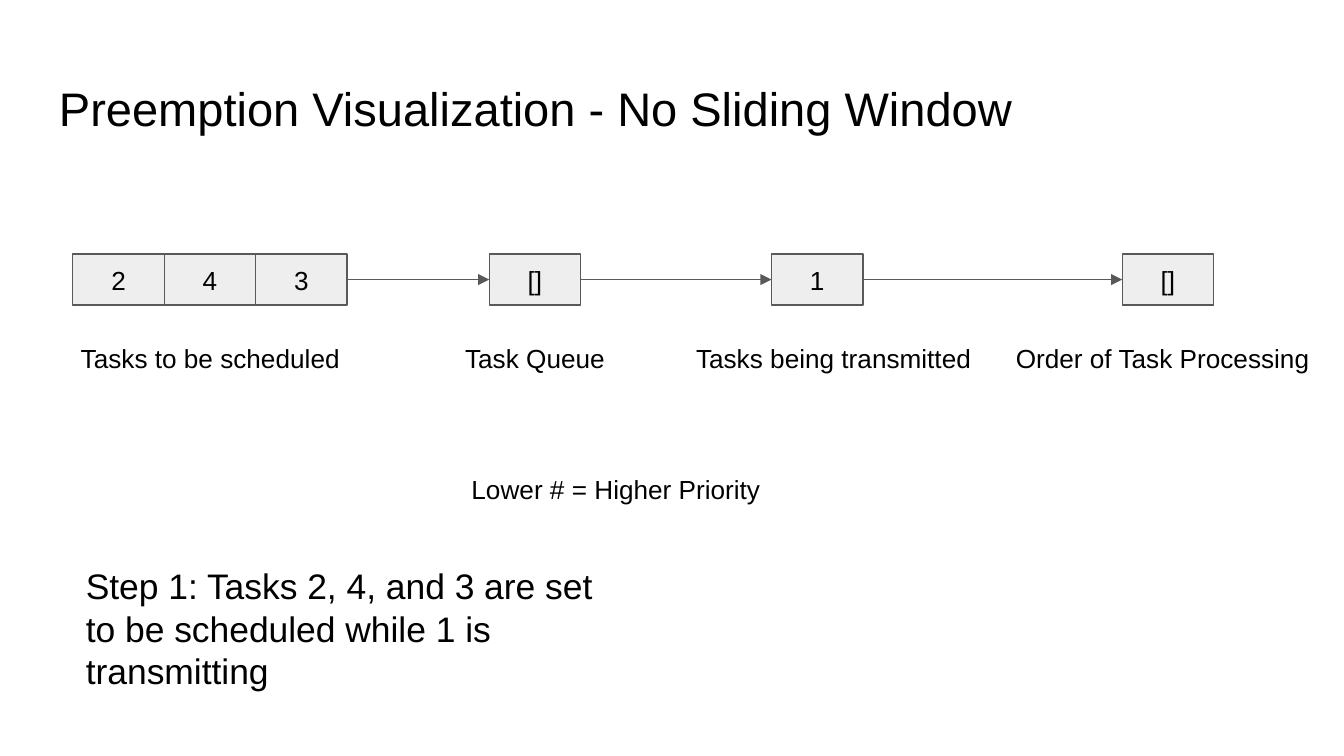
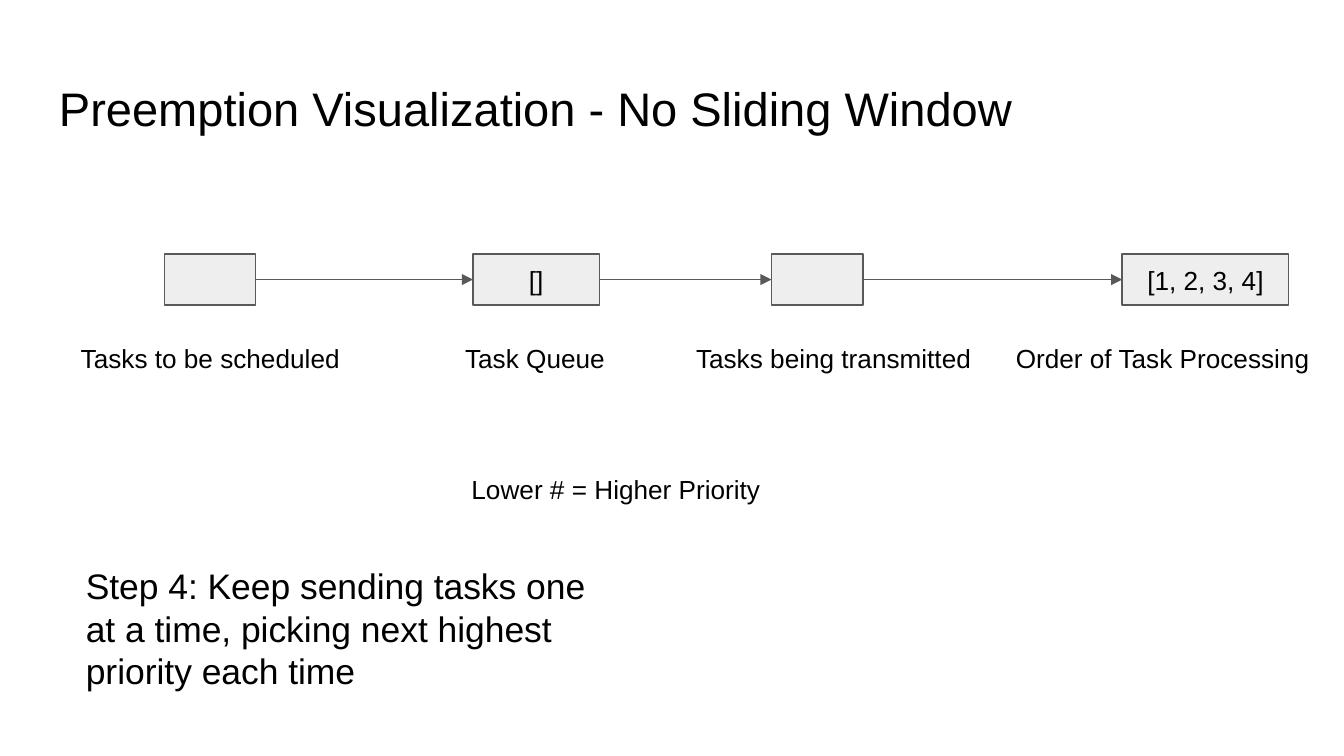
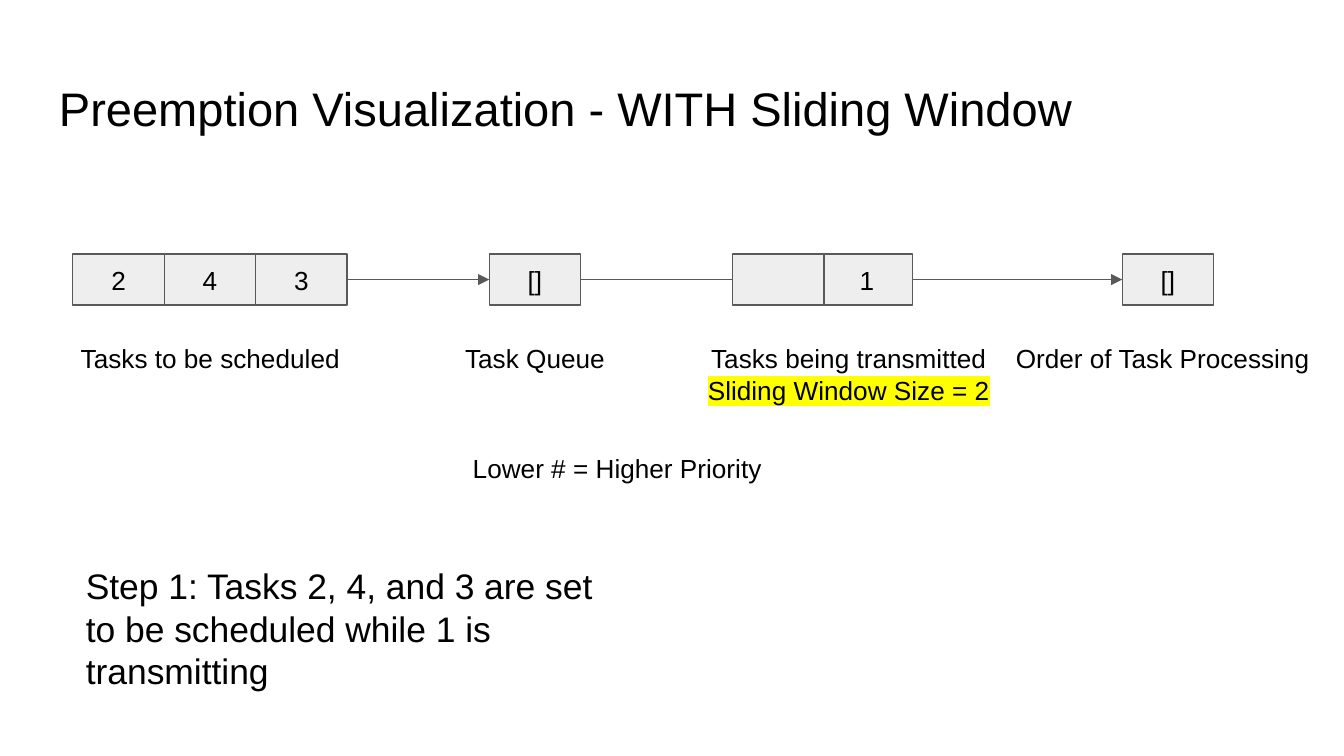
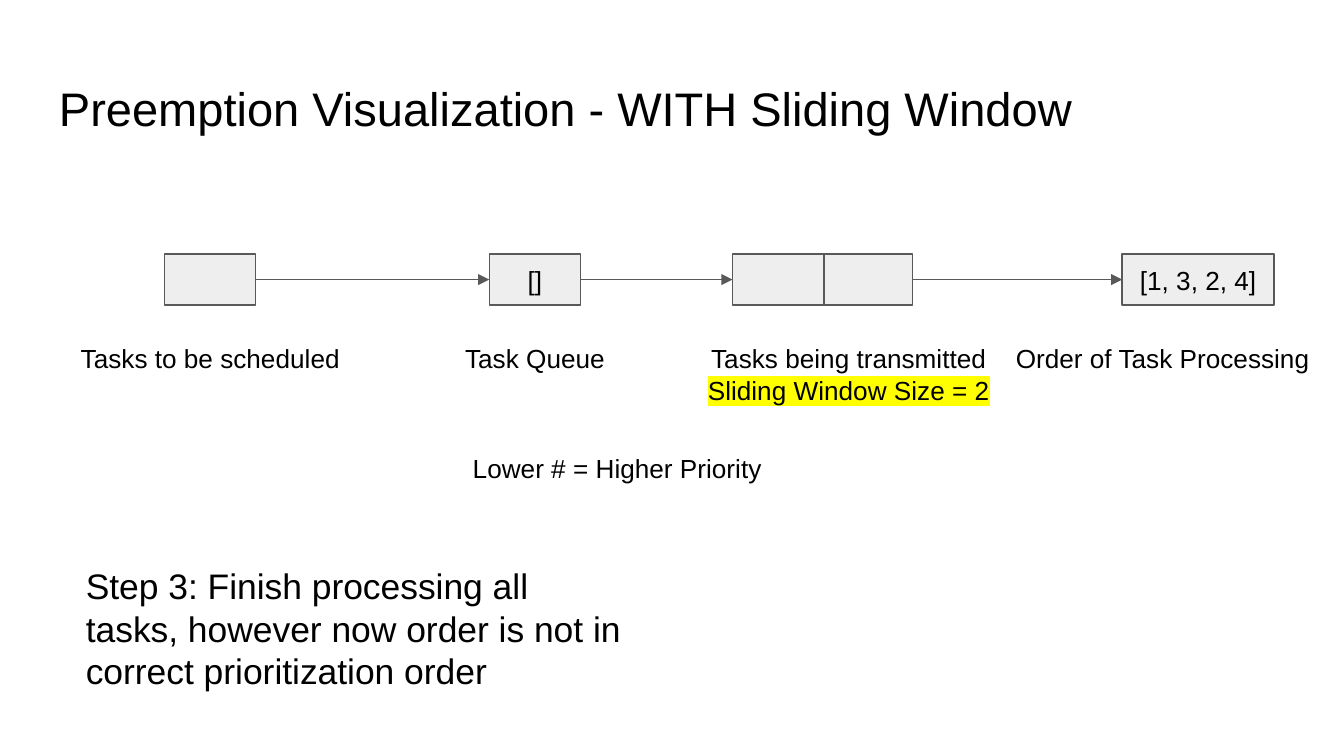
from itertools import pairwise

from lxml.etree import SubElement
from pptx import Presentation
from pptx.dml.color import RGBColor
from pptx.enum.shapes import MSO_CONNECTOR as CONN, MSO_SHAPE as SHAPE
from pptx.enum.text import MSO_ANCHOR as ANCHOR, MSO_AUTO_SIZE as AUTO, PP_ALIGN as ALIGN
from pptx.oxml.ns import qn
from pptx.util import Pt

FONT, INK, EDGE, FILL, MARK = "Arial", "000000", "595959", "EEEEEE", "FFFF00"
INSET = 7.2
CELL_W, CELL_H = 49, 27.4
FLOW_TOP, LABEL_TOP, LABEL_H = 136.1, 176.4, 31.7
QUEUE, SENDING, DONE = 262.1, 413.3, 601.2
WINDOW, WINDOW_PITCH = 392.4, 47.5

PLAIN = "Preemption Visualization - No Sliding Window"
WINDOWED = "Preemption Visualization - WITH Sliding Window"
STEP_1 = "Step 1: Tasks 2, 4, and 3 are set to be scheduled while 1 is transmitting"
STEP_3 = ("Step 3: Finish processing all tasks, however now order is not in "
          "correct prioritization order")
STEP_4 = ("Step 4: Keep sending tasks one at a time, "
          "picking next highest priority each time")

WAITING = (39, CELL_W, CELL_W, ["2", "4", "3"])
NONE_WAITING = (88, CELL_W, CELL_W, [""])
EMPTY_QUEUE = (QUEUE, CELL_W, CELL_W, ["[]"])
NONE_DONE = (DONE, CELL_W, CELL_W, ["[]"])

SLIDES = [
    dict(title=PLAIN, step=STEP_1, windowed=False, heads=(True, True, True),
         stages=[WAITING, EMPTY_QUEUE, (SENDING, CELL_W, CELL_W, ["1"]), NONE_DONE]),
    dict(title=PLAIN, step=STEP_4, windowed=False, heads=(True, True, True),
         stages=[NONE_WAITING, (253.4, 67.7, 67.7, ["[]"]),
                 (SENDING, CELL_W, CELL_W, [""]), (DONE, 89.3, 89.3, ["[1, 2, 3, 4]"])]),
    dict(title=WINDOWED, step=STEP_1, windowed=True, heads=(True, False, True),
         stages=[WAITING, EMPTY_QUEUE,
                 (WINDOW, CELL_W, WINDOW_PITCH, ["", "1"]), NONE_DONE]),
    dict(title=WINDOWED, step=STEP_3, windowed=True, heads=(True, True, True),
         stages=[NONE_WAITING, EMPTY_QUEUE, (WINDOW, CELL_W, WINDOW_PITCH, ["", ""]),
                 (DONE, 81.4, 81.4, ["[1, 3, 2, 4]"])]),
]


def rgb(value):
    """Turn a hex string into a colour."""
    return RGBColor.from_string(value)


def put(obj, formats):
    """Set each attribute of an object from a dict."""
    for name, value in formats.items():
        setattr(obj, name, value)


def write(sp, lines, size=14, align=ALIGN.LEFT, marked=(), **frame):
    """Write lines of text into a shape, highlighting the marked ones."""
    tf = sp.text_frame
    margins = {f"margin_{side}": Pt(INSET) for side in ("left", "top", "right", "bottom")}
    put(tf, {"word_wrap": True, **margins, **frame})
    for i, line in enumerate(lines):
        p = tf.add_paragraph() if i else tf.paragraphs[0]
        p.alignment = align
        r = p.add_run()
        r.text = line
        put(r.font, {"size": Pt(size), "name": FONT})
        r.font.color.rgb = rgb(INK)
        if line in marked:
            rpr = r.font._element
            mark = SubElement(rpr, qn("a:highlight"))
            SubElement(mark, qn("a:srgbClr")).set("val", MARK)
            rpr.find(qn("a:solidFill")).addnext(mark)


def textbox(s, box, lines, **formats):
    """Add a text box at left, top, width, height."""
    write(s.shapes.add_textbox(*map(Pt, box)), lines, **formats)


def stage(s, left, width, pitch, values):
    """Draw a row of cells from right to left and return its first and last cell."""
    cells = []
    for i, value in reversed(list(enumerate(values))):
        sp = s.shapes.add_shape(SHAPE.RECTANGLE, Pt(left + i * pitch), Pt(FLOW_TOP),
                                Pt(width), Pt(CELL_H))
        sp.shadow.inherit = False
        sp.fill.solid()
        sp.fill.fore_color.rgb = rgb(FILL)
        sp.line.color.rgb = rgb(EDGE)
        sp.line.width = Pt(0.75)
        write(sp, [value] if value else [], align=ALIGN.CENTER,
              vertical_anchor=ANCHOR.MIDDLE)
        cells.append(sp)
    return cells[-1], cells[0]


def arrow(s, start, end, head):
    """Join the right side of one cell to the left side of another."""
    cx = s.shapes.add_connector(CONN.STRAIGHT, 0, 0, 0, 0)
    cx.begin_connect(start, 3)
    cx.end_connect(end, 1)
    cx.line.color.rgb = rgb(EDGE)
    cx.line.width = Pt(0.75)
    if head:
        SubElement(cx.line._get_or_add_ln(), qn("a:tailEnd")).set("type", "triangle")
    SubElement(cx._element.spPr, qn("a:effectLst"))


def flow(s, stages, heads):
    """Draw the stages and the arrows between them."""
    ends = [stage(s, *args) for args in stages]
    for ((_, start), (end, _)), head in zip(pairwise(ends), heads):
        arrow(s, start, end, head)


def labels(s, windowed):
    """Write the caption under each stage and the priority note."""
    size_note = "Sliding Window Size = 2"
    sending = ["Tasks being transmitted"] + [size_note] * windowed
    sending_align = ALIGN.CENTER if windowed else ALIGN.LEFT
    captions = [
        (23.8, 177.8, ["Tasks to be scheduled"], ALIGN.CENTER),
        (236.9, 99.4, ["Task Queue"], ALIGN.CENTER),
        (365.8, 177.8, sending, sending_align),
        (537.1, 177.8, ["Order of Task Processing"], ALIGN.LEFT),
    ]
    for left, width, lines, align in captions:
        height = LABEL_H + 16.5 * (len(lines) - 1)
        textbox(s, (left, LABEL_TOP, width, height), lines, align=align,
                marked=[size_note], auto_size=AUTO.SHAPE_TO_FIT_TEXT)
    left, top = (246.2, 235.4) if windowed else (245.5, 246.2)
    textbox(s, (left, top, 177.8, LABEL_H), ["Lower # = Higher Priority"],
            auto_size=AUTO.SHAPE_TO_FIT_TEXT)


def preemption_slide(prs, title, step, windowed, heads, stages):
    """Build one step of the preemption walk-through."""
    s = prs.slides.add_slide(prs.slide_layouts[6])
    textbox(s, (24.5, 35.3, 671, 45.4), [title], size=25.2)
    flow(s, stages, heads)
    labels(s, windowed)
    textbox(s, (38.9, 295.2, 301.7, 83.5), [step], size=19,
            auto_size=AUTO.SHAPE_TO_FIT_TEXT)


def main():
    """Build and save the deck."""
    prs = Presentation()
    put(prs, {"slide_width": Pt(720), "slide_height": Pt(405)})
    for content in SLIDES:
        preemption_slide(prs, **content)
    prs.save("out.pptx")


if __name__ == "__main__":
    main()
